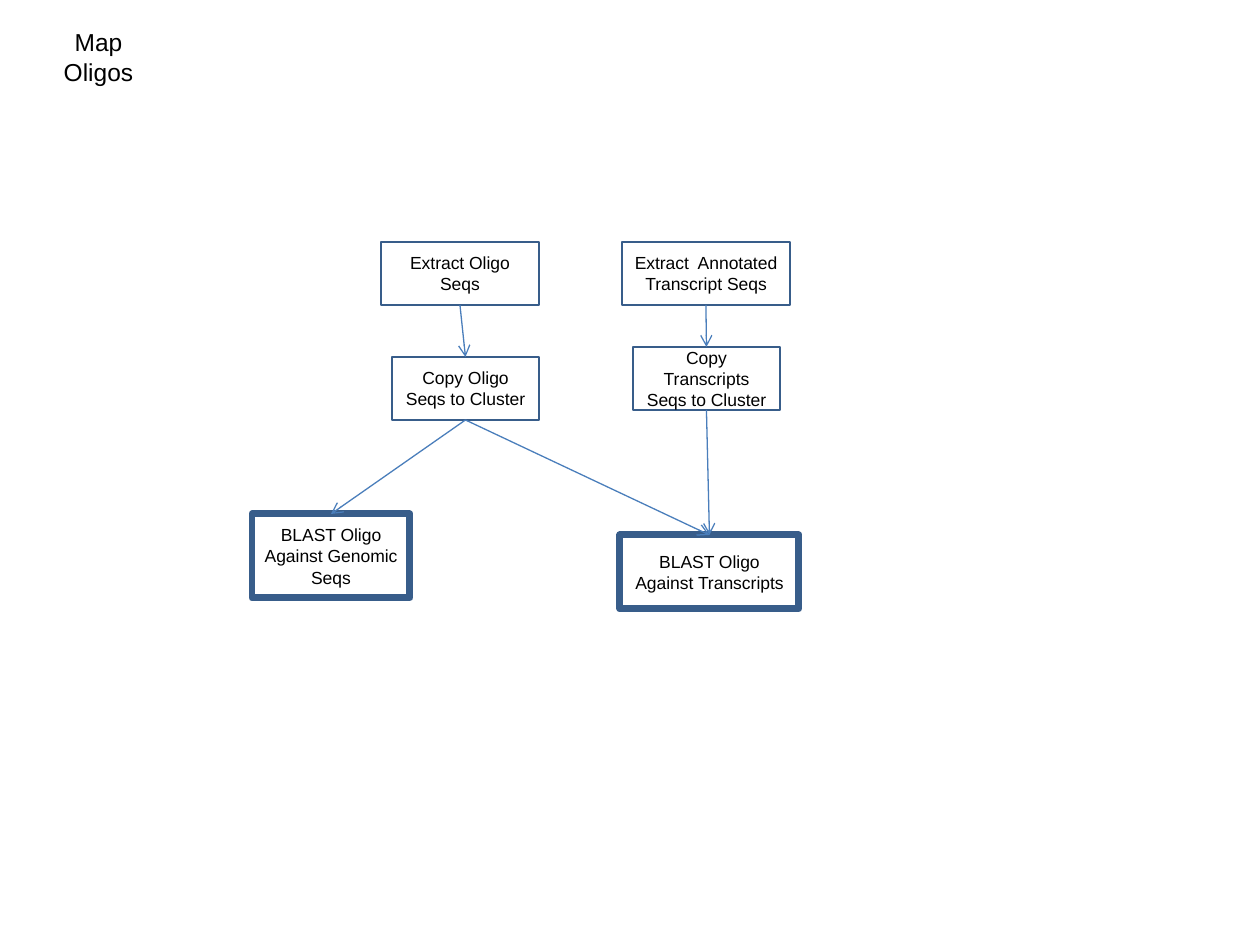
from lxml import etree
from pptx import Presentation
from pptx import util as u
from pptx.dml.color import RGBColor
from pptx.enum import shapes, text
from pptx.oxml.ns import qn

PX = u.Inches(1) // 126
FONT, INK, BORDER, ARROW = "Arial", "000000", "385D8A", "4A7EBB"
THIN, THICK = 1, 4
TOP, BOTTOM = 0, 2  # connection sites of a rectangle

TITLE = ("Map Oligos", (24, 21, 149, 43))

# name: (label, (left, top, width, height), border points)
STEPS = {
    "extract transcripts": ("Extract  Annotated Transcript Seqs", (622, 242, 168, 63), THIN),
    "extract oligos": ("Extract Oligo Seqs", (381, 242, 158, 63), THIN),
    "copy transcripts": ("Copy Transcripts Seqs to Cluster", (633, 347, 147, 63), THIN),
    "copy oligos": ("Copy Oligo Seqs to Cluster", (392, 357, 147, 63), THIN),
    "blast transcripts": ("BLAST Oligo Against Transcripts", (620, 535, 179, 74), THICK),
    "blast genome": ("BLAST Oligo Against Genomic Seqs", (252, 514, 158, 84), THICK),
}

FLOWS = [
    ("extract transcripts", "copy transcripts"),
    ("extract oligos", "copy oligos"),
    ("copy transcripts", "blast transcripts"),
    ("copy oligos", "blast transcripts"),
    ("copy oligos", "blast genome"),
]


def color(value):
    return RGBColor.from_string(value)


def write(box, words, size, anchor, wrap):
    frame = box.text_frame
    frame.text = words
    frame.word_wrap = wrap
    frame.vertical_anchor = anchor
    frame.margin_left = frame.margin_right = u.Inches(0.1)
    frame.margin_top = frame.margin_bottom = u.Inches(0.05)
    para = frame.paragraphs[0]
    para.alignment = text.PP_ALIGN.CENTER
    para.font.name, para.font.size = FONT, u.Pt(size)
    para.font.color.rgb = color(INK)


def add_title(page, words, place):
    title = page.shapes.title
    title.left, title.top, title.width, title.height = (n * PX for n in place)
    write(title, words, 14, text.MSO_ANCHOR.TOP, False)
    title.text_frame.auto_size = text.MSO_AUTO_SIZE.SHAPE_TO_FIT_TEXT


def add_step(page, label, place, border):
    box = page.shapes.add_shape(shapes.MSO_SHAPE.RECTANGLE, *(n * PX for n in place))
    box.shadow.inherit = False
    box.fill.background()
    box.line.color.rgb = color(BORDER)
    box.line.width = u.Pt(border)
    write(box, label, 10, text.MSO_ANCHOR.MIDDLE, True)
    return box


def add_flow(page, source, target):
    arrow = page.shapes.add_connector(shapes.MSO_CONNECTOR.STRAIGHT, 0, 0, 0, 0)
    arrow.begin_connect(source, BOTTOM)
    arrow.end_connect(target, TOP)
    arrow.line.color.rgb = color(ARROW)
    arrow.line.width = u.Pt(0.75)
    etree.SubElement(arrow.line._get_or_add_ln(), qn("a:tailEnd"), type="arrow")
    etree.SubElement(arrow._element.spPr, qn("a:effectLst"))


def main():
    deck = Presentation()
    deck.slide_width, deck.slide_height = u.Inches(10), u.Inches(7.5)
    page = deck.slides.add_slide(deck.slide_layouts.get_by_name("Title Only"))
    add_title(page, *TITLE)
    boxes = {name: add_step(page, *step) for name, step in STEPS.items()}
    for source, target in FLOWS:
        add_flow(page, boxes[source], boxes[target])
    deck.save("out.pptx")


if __name__ == "__main__":
    main()
